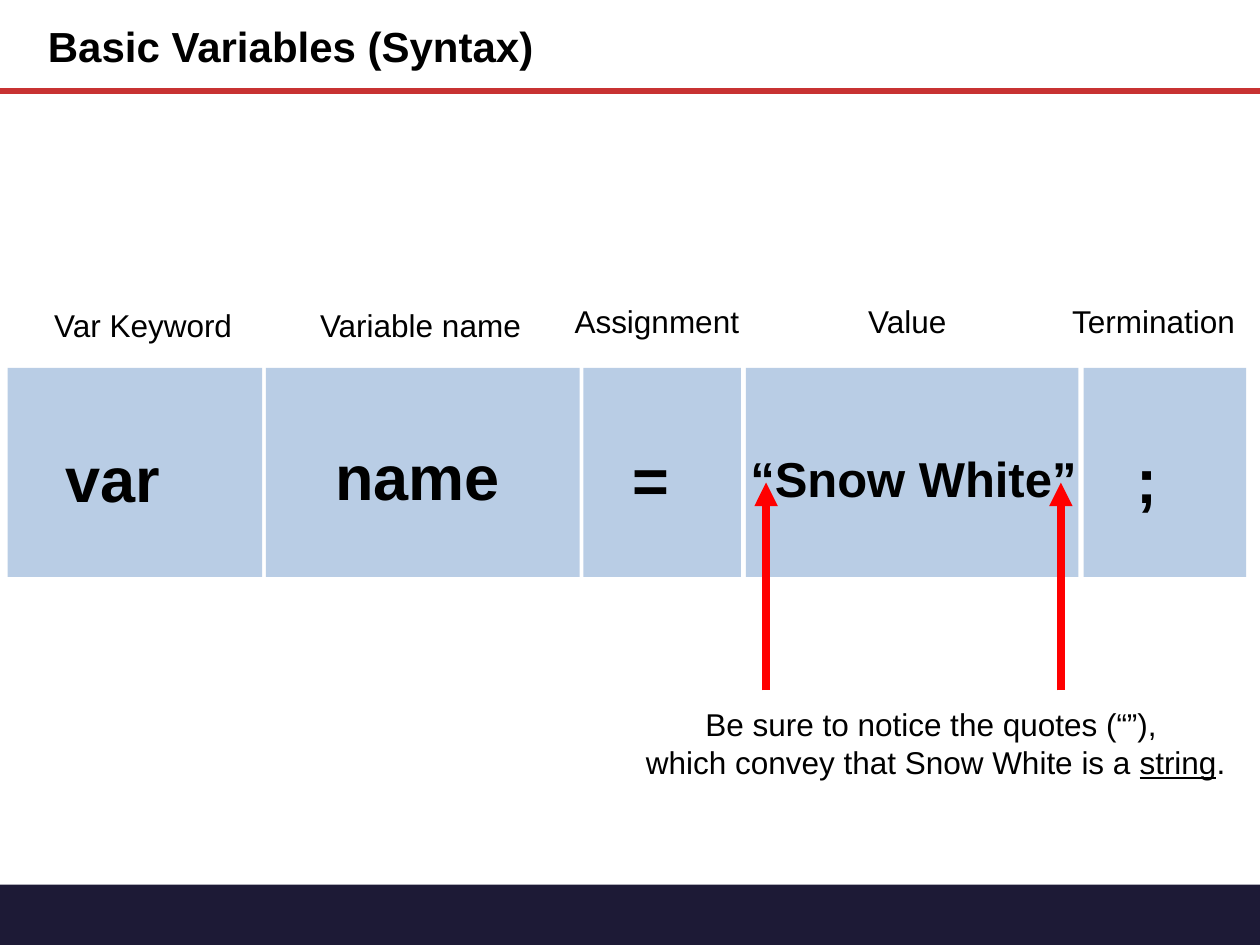
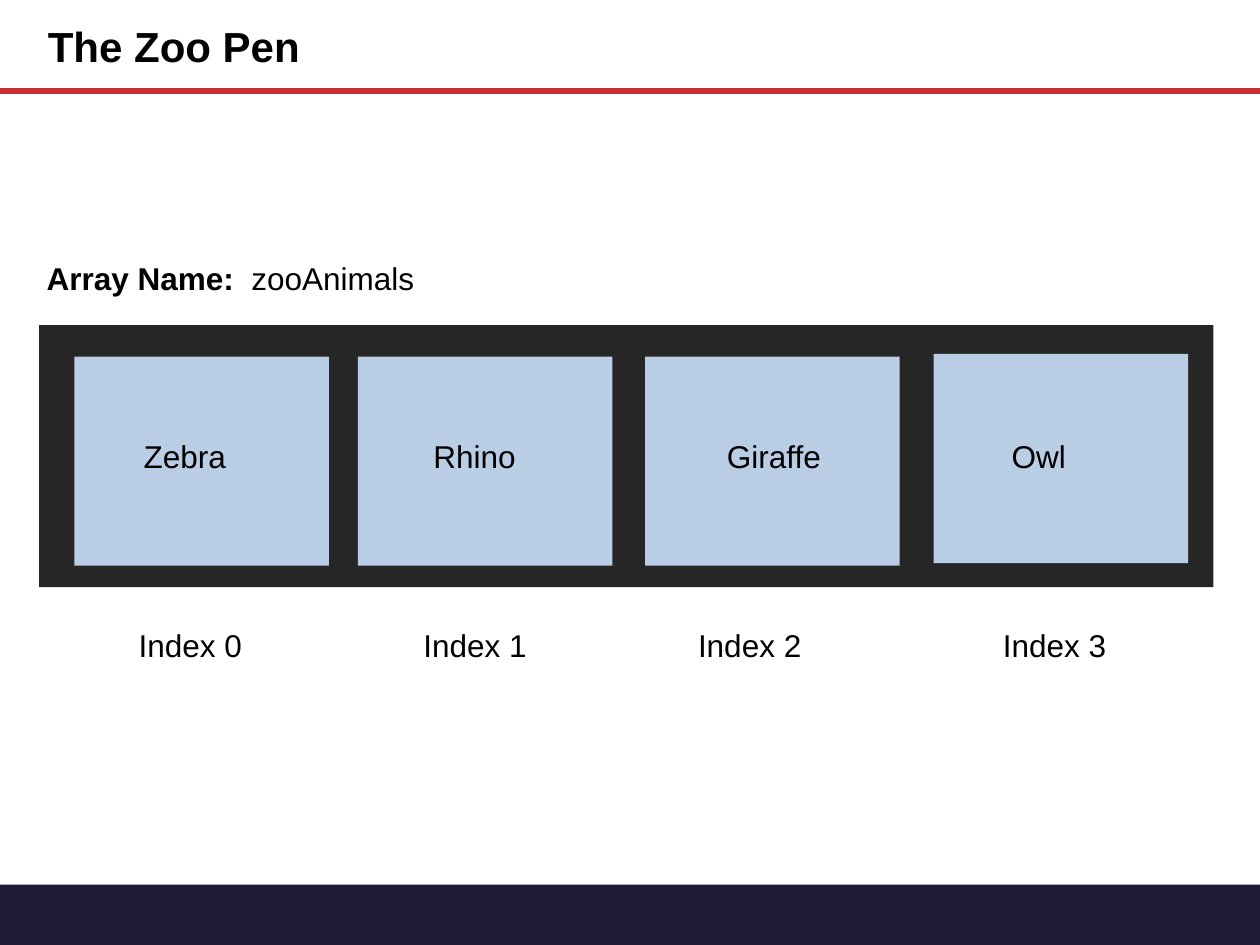
from pptx import Presentation
from pptx.dml.color import RGBColor
from pptx.enum.shapes import MSO_CONNECTOR as Connector, MSO_SHAPE as Shape
from pptx.enum.text import MSO_ANCHOR as Anchor, MSO_AUTO_SIZE as AutoSize, PP_ALIGN as Align
from pptx.oxml.ns import qn
from pptx.util import Inches, Pt
from lxml.etree import SubElement

BLACK = RGBColor(0x00, 0x00, 0x00)
NAVY = RGBColor(0x1D, 0x1A, 0x36)
BRICK = RGBColor(0xC8, 0x32, 0x32)
SKY = RGBColor(0xB9, 0xCD, 0xE5)
CHARCOAL = RGBColor(0x26, 0x26, 0x26)
RED = RGBColor(0xFF, 0x00, 0x00)
FONT = "Arial"
LABEL_SIZE = 18
TOKEN_SIZE = 36
CELL_HEIGHT = 1.66


def add_block(page, left, top, width, height, color):
    block = page.shapes.add_shape(
        Shape.RECTANGLE, Inches(left), Inches(top), Inches(width), Inches(height))
    block.shadow.inherit = False
    block.fill.solid()
    block.fill.fore_color.rgb = color
    block.line.fill.background()


def add_line(page, start, end, color, width, arrow=False):
    line = page.shapes.add_connector(
        Connector.STRAIGHT, *[Inches(value) for value in start + end])
    line.line.color.rgb = color
    line.line.width = Pt(width)
    properties = line._element.spPr
    if arrow:
        SubElement(properties.find(qn("a:ln")), qn("a:tailEnd"), type="triangle")
    SubElement(properties, qn("a:effectLst"))


def add_text(page, left, top, width, height, paragraphs, size=LABEL_SIZE,
             bold=False, align=Align.LEFT, anchor=Anchor.TOP, wrap=False):
    box = page.shapes.add_textbox(Inches(left), Inches(top), Inches(width), Inches(height))
    frame = box.text_frame
    frame.word_wrap = wrap
    frame.auto_size = AutoSize.SHAPE_TO_FIT_TEXT
    frame.vertical_anchor = anchor
    frame.margin_left = frame.margin_right = Inches(0.05)
    frame.margin_top = frame.margin_bottom = Inches(0.05)
    for index, spans in enumerate(paragraphs):
        para = frame.paragraphs[0] if index == 0 else frame.add_paragraph()
        para.alignment = align
        for text, style in spans:
            span = para.add_run()
            span.text = text
            span.font.name = FONT
            span.font.size = Pt(size)
            span.font.color.rgb = BLACK
            span.font.bold = bold or style == "bold"
            span.font.underline = style == "underline"


def add_label(page, left, top, width, text):
    add_text(page, left, top, width, 0.38, [[(text, None)]])


def add_page(deck, title):
    page = deck.slides.add_slide(deck.slide_layouts[6])
    add_block(page, 0, 7.02, 10, 0.48, NAVY)
    add_line(page, (0, 0.72), (10, 0.72), BRICK, 3.25)
    add_text(page, 0.33, 0.12, 5.98, 0.48, [[(title, None)]],
             size=24, bold=True, anchor=Anchor.MIDDLE, wrap=True)
    return page


def build_syntax_page(deck):
    page = add_page(deck, "Basic Variables (Syntax)")
    for left, width in [(0.06, 2.02), (2.11, 2.49), (4.63, 1.25), (5.92, 2.64), (8.6, 1.29)]:
        add_block(page, left, 2.92, width, CELL_HEIGHT, SKY)
    for left, top, width, token in [
            (0.47, 3.44, 1.55, "var"), (2.61, 3.42, 2.08, "name"),
            (4.97, 3.45, 0.93, "="), (8.97, 3.45, 0.93, ";")]:
        add_text(page, left, top, width, 0.67, [[(token, None)]],
                 size=TOKEN_SIZE, bold=True, wrap=True)
    for left, top, width, label in [
            (0.38, 2.38, 1.52, "Var Keyword"), (2.49, 2.38, 1.71, "Variable name"),
            (4.51, 2.35, 1.42, "Assignment"), (6.84, 2.35, 0.73, "Value"),
            (8.46, 2.35, 1.4, "Termination")]:
        add_label(page, left, top, width, label)
    add_text(page, 5.07, 5.55, 4.71, 0.67, [
        [("Be sure to notice the quotes (“”), ", None)],
        [("which convey that Snow White is a ", None), ("string", "underline"), (".", None)],
    ], align=Align.CENTER)
    for quote_x in (6.08, 8.42):
        add_line(page, (quote_x, 5.48), (quote_x, 3.83), RED, 4.5, arrow=True)
    add_text(page, 5.76, 3.51, 2.98, 0.53, [[("“Snow White”", None)]],
             size=28, bold=True, align=Align.CENTER, wrap=True)


def build_zoo_page(deck):
    page = add_page(deck, "The Zoo Pen")
    add_block(page, 0.31, 2.58, 9.32, 2.08, CHARCOAL)
    add_text(page, 0.32, 2.01, 3.03, 0.38,
             [[("Array Name:  ", "bold"), ("zooAnimals", None)]])
    pens = [
        (0.59, 2.83, "Zebra", 1.09, 0.77, 1.05, 1.0),
        (2.84, 2.83, "Rhino", 3.39, 0.77, 3.31, 0.93),
        (5.12, 2.83, "Giraffe", 5.72, 0.86, 5.49, 0.93),
        (7.41, 2.81, "Owl", 7.98, 0.54, 7.91, 0.93),
    ]
    for index, (left, top, animal, name_left, name_width, index_left, index_width) in enumerate(pens):
        add_block(page, left, top, 2.02, CELL_HEIGHT, SKY)
        add_label(page, name_left, 3.42, name_width, animal)
        add_label(page, index_left, 4.92, index_width, f"Index {index}")


def main():
    deck = Presentation()
    deck.slide_width = Inches(10)
    deck.slide_height = Inches(7.5)
    build_syntax_page(deck)
    build_zoo_page(deck)
    deck.save("out.pptx")


if __name__ == "__main__":
    main()
